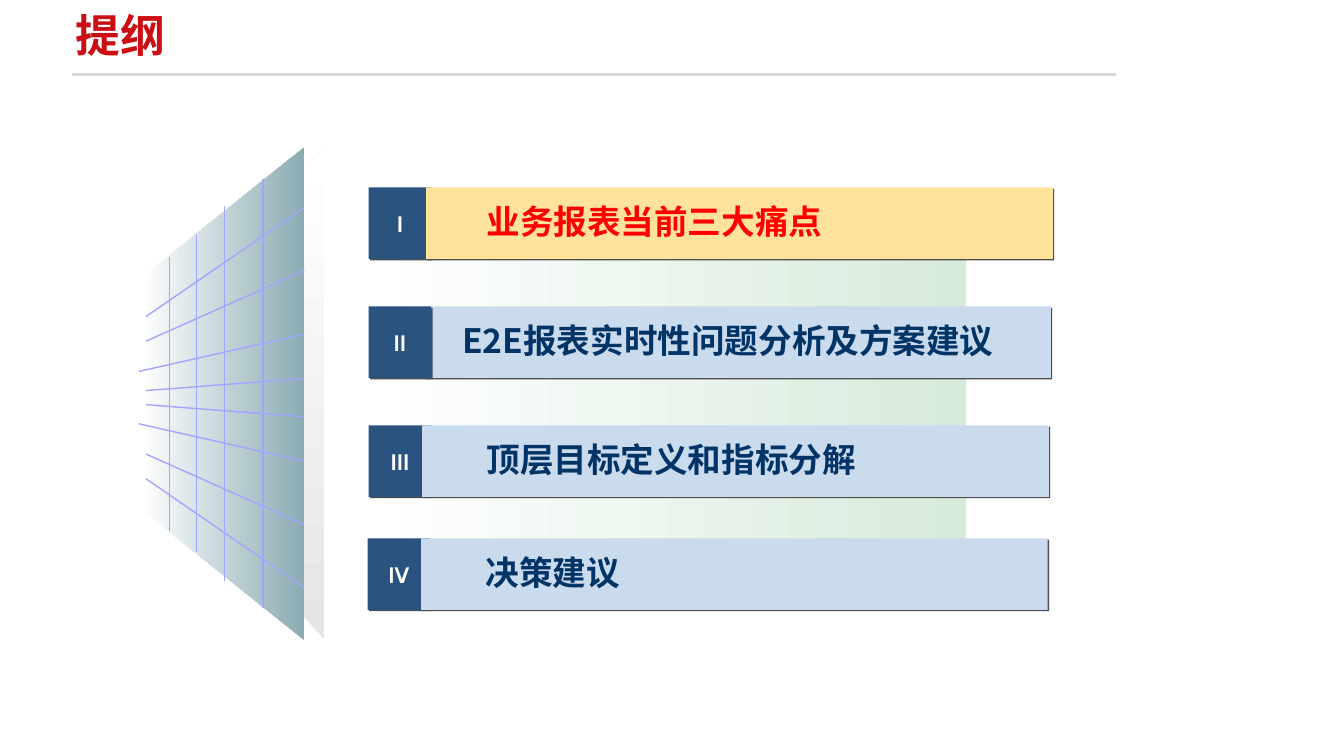
from dataclasses import dataclass
from typing import NamedTuple

from lxml.etree import SubElement
from pptx import Presentation
from pptx.dml.color import RGBColor
from pptx.enum.shapes import MSO_CONNECTOR, MSO_SHAPE
from pptx.enum.text import MSO_ANCHOR, PP_ALIGN
from pptx.oxml.ns import qn
from pptx.util import Inches, Pt

CELL = Inches(0.1)
COLUMNS, ROWS = 133.4, 75


@dataclass(frozen=True)
class Theme:
    title: str = "CB0E13"
    rule: str = "D9D9D9"
    white: str = "FFFFFF"
    mint: str = "D7EBDB"
    badge: str = "2A5380"
    bar: str = "CADBEE"
    highlight: str = "FFE39D"
    alert: str = "FF0000"
    ink: str = "003366"
    shadow: str = "4D4D4D"
    wall: str = "8BACB3"
    edge: str = "E5E5E5"
    mesh: str = "A4A4FF"
    latin_font: str = "Cabin"
    chinese_font: str = "Noto Sans CJK SC"
    title_size: int = 32
    topic_size: int = 24
    badge_size: int = 16


class Box(NamedTuple):
    left: float
    top: float
    width: float
    height: float

    def inner(self, left, top, width, height):
        return Box(self.left + left, self.top + top, width, height)

    def lengths(self):
        return [cells(value) for value in self]


class Topic(NamedTuple):
    numeral: str
    text: str
    top: float
    badge_left: float
    bar_left: float
    label_left: float
    fill: str
    ink: str
    badge_in_front: bool = False


THEME = Theme()
TOPICS = [
    Topic("I", "业务报表当前三大痛点", 0, 0.1, 5.8, 10.8, THEME.highlight, THEME.alert),
    Topic("II", "E2E报表实时性问题分析及方案建议", 11.8, 0.1, 5.6, 8.4, THEME.bar, THEME.ink, True),
    Topic("III", "顶层目标定义和指标分解", 23.6, 0.1, 5.4, 10.8, THEME.bar, THEME.ink),
    Topic("IV", "决策建议", 34.8, 0, 5.3, 10.7, THEME.bar, THEME.ink),
]
MESH_RAYS = [(0.7, 8.05, 18.85), (0.7, 5.6, 12.6), (0, 2.6, 6.3), (0.7, 0.7, 1.9)]
MESH_POSTS = [(3, 13.6), (5.7, 15.7), (8.5, 18.6), (12.3, 21.25)]


def cells(count):
    return round(count * CELL)


def color(value):
    return RGBColor.from_string(value)


def paint_gradient(shape, start, end, angle):
    shape.fill.gradient()
    shape.fill.gradient_angle = angle
    for stop, value in zip(shape.fill.gradient_stops, (start, end)):
        stop.color.rgb = color(value)
    shape.line.fill.background()
    shape.shadow.inherit = False


def add_line(slide, start, end, value, width):
    points = [cells(number) for number in (*start, *end)]
    line = slide.shapes.add_connector(MSO_CONNECTOR.STRAIGHT, *points)
    line.line.color.rgb = color(value)
    line.line.width = Pt(width)
    SubElement(line._element.spPr, qn("a:effectLst"))


def add_panel(slide, box, fill):
    panel = slide.shapes.add_shape(MSO_SHAPE.RECTANGLE, *box.lengths())
    panel.fill.solid()
    panel.fill.fore_color.rgb = color(fill)
    panel.line.fill.background()
    panel.shadow.inherit = False
    effects = panel._element.spPr.find(qn("a:effectLst"))
    shadow = SubElement(effects, qn("a:outerShdw"), dist=str(Pt(1.4)), dir="2700000",
                        algn="ctr", rotWithShape="0")
    SubElement(shadow, qn("a:srgbClr"), val=THEME.shadow)
    return panel


def write(shape, text, font_name, size, ink, align=PP_ALIGN.LEFT, **frame_format):
    frame = shape.text_frame
    frame_values = {"vertical_anchor": MSO_ANCHOR.MIDDLE, "word_wrap": True, **frame_format}
    for name, value in frame_values.items():
        setattr(frame, name, value)
    paragraph = frame.paragraphs[0]
    paragraph.alignment = align
    run = paragraph.add_run()
    run.text = text
    run.font.color.rgb = color(ink)
    for name, value in {"size": Pt(size), "bold": True, "name": font_name}.items():
        setattr(run.font, name, value)
    SubElement(run._r.rPr, qn("a:ea"), typeface=font_name)


def add_trapezoid(slide, left, right, middle, left_half, right_half):
    corners = [(left, middle - left_half), (right, middle - right_half),
               (right, middle + right_half), (left, middle + left_half)]
    points = [(cells(x), cells(y)) for x, y in corners]
    builder = slide.shapes.build_freeform(*points[0])
    builder.add_line_segments(points[1:], close=True)
    return builder.convert_to_shape()


def draw_header(slide, box):
    baseline = box.top + box.height
    add_line(slide, (box.left + 0.4, baseline), (box.left + 104.1, baseline), THEME.rule, 2)
    title = slide.shapes.add_textbox(*box.inner(0, 0, box.width, 6.8).lengths())
    write(title, "提纲", THEME.chinese_font, THEME.title_size, THEME.title,
          margin_left=cells(0.8), margin_right=cells(0.7),
          margin_top=cells(0.4), margin_bottom=cells(0.4))


def draw_topic(slide, box, topic):
    def draw_badge():
        badge = add_panel(slide, box.inner(topic.badge_left, 0, 6.2, box.height), THEME.badge)
        write(badge, topic.numeral, THEME.latin_font, THEME.badge_size, THEME.white,
              PP_ALIGN.CENTER, word_wrap=False)

    def draw_bar():
        add_panel(slide, box.inner(topic.bar_left, 0, 62.2, box.height), topic.fill)

    layers = [draw_badge, draw_bar]
    for draw in reversed(layers) if topic.badge_in_front else layers:
        draw()
    label_width = topic.bar_left + 62.2 - topic.label_left
    label = slide.shapes.add_textbox(
        *box.inner(topic.label_left, 0.8, label_width, 5.1).lengths())
    write(label, topic.text, THEME.chinese_font, THEME.topic_size, topic.ink)


def draw_agenda(slide, box):
    backdrop = slide.shapes.add_shape(
        MSO_SHAPE.RECTANGLE, *box.inner(0.3, 3.7, 59.1, 34).lengths())
    paint_gradient(backdrop, THEME.white, THEME.mint, 0)
    for topic in TOPICS:
        draw_topic(slide, box.inner(0, topic.top, box.width, 7.1), topic)


def draw_wall(slide, box):
    middle = box.top + box.height / 2
    right = box.left + 16.4
    edge = add_trapezoid(slide, right - 0.5, box.left + box.width, middle, 21.65, 24.4)
    paint_gradient(edge, THEME.edge, THEME.white, 90)
    wall = add_trapezoid(slide, box.left + 0.3, right, middle, 11.55, 24.4)
    paint_gradient(wall, THEME.white, THEME.wall, 0)
    horizon = middle + 0.4
    for offset, near, far in MESH_RAYS:
        for side in (-1, 1):
            add_line(slide, (box.left + offset, horizon + side * near),
                     (right, horizon + side * far), THEME.mesh, 1)
    for offset, half in MESH_POSTS:
        post = box.left + offset
        add_line(slide, (post, middle - half), (post, middle + half), THEME.mesh, 1)


def main():
    presentation = Presentation()
    presentation.slide_width = cells(COLUMNS)
    presentation.slide_height = cells(ROWS)
    slide = presentation.slides.add_slide(presentation.slide_layouts[6])
    draw_header(slide, Box(6.7, 0, 119.9, 7.4))
    draw_agenda(slide, Box(36.5, 18.6, 68, 41.9))
    draw_wall(slide, Box(13.8, 14.6, 18.4, 48.9))
    presentation.save("out.pptx")


if __name__ == "__main__":
    main()
